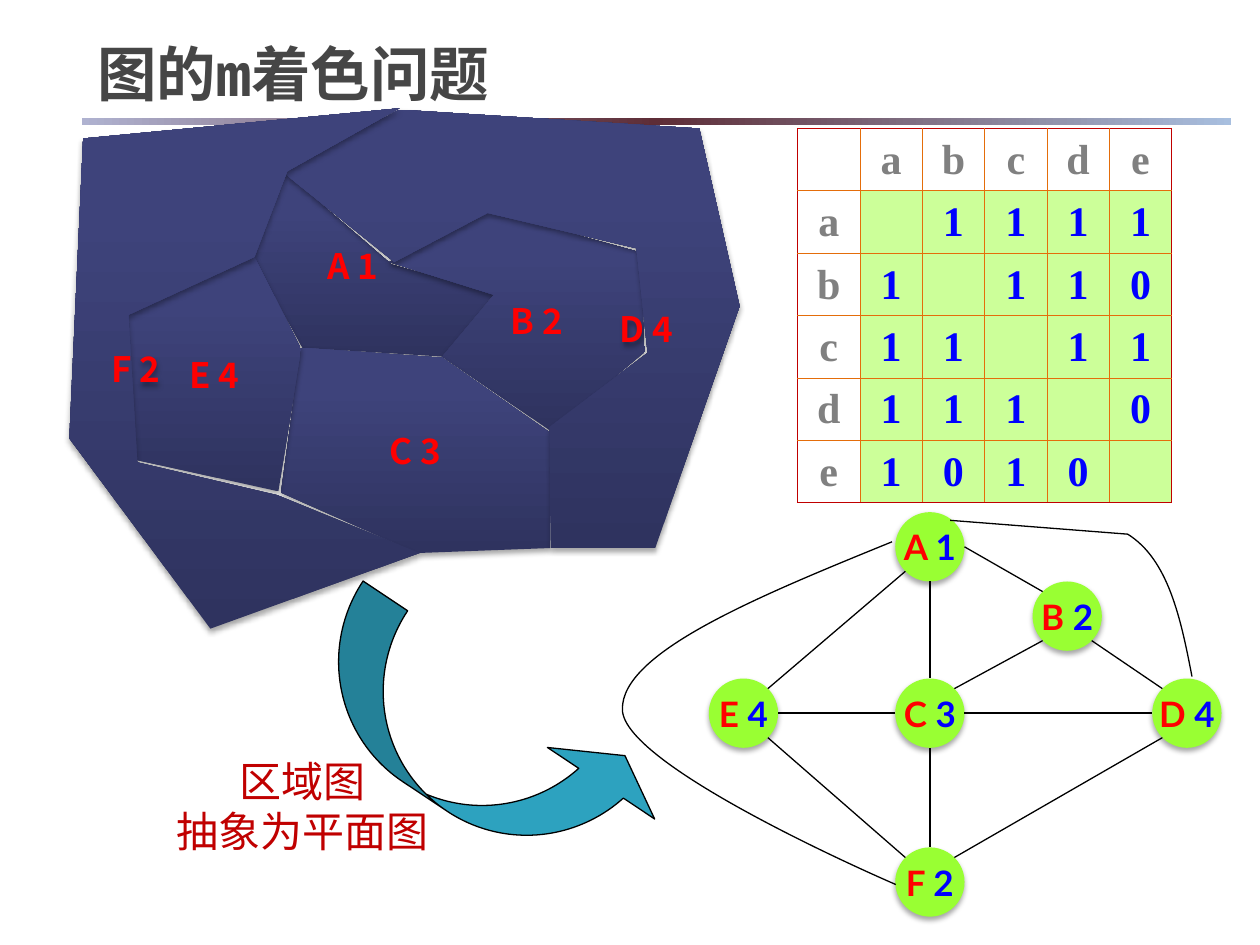
from math import cos, radians, sin

from pptx import Presentation
from pptx.dml.color import RGBColor
from pptx.enum.shapes import MSO_CONNECTOR as Connector, MSO_SHAPE as Shape
from pptx.enum.text import MSO_ANCHOR as Anchor, PP_ALIGN as Align
from pptx.oxml.ns import qn
from pptx.oxml.xmlchemy import OxmlElement
from pptx.util import Inches, Pt

MONO, CJK, LATO, SERIF = "Noto Sans Mono", "Noto Sans CJK SC", "Lato", "Times New Roman"
RED, BLUE, BLACK, DARK_RED, ORANGE = "FF0000", "0000FF", "000000", "C00000", "E46D0A"
REGION_STOPS = [(0, "2F335F"), (80, "3E437B"), (100, "3D427D")]
NODE_SIZE = 0.55

# name, colour number, centre of the label, outline
REGIONS = [
    ("A", 1, 2.80, [(2.27, 1.38), (2.01, 2.04), (2.4, 2.76), (3.51, 2.83),
                    (3.92, 2.33), (3.11, 2.1)]),
    ("B", 2, 4.26, [(3.09, 2.08), (3.87, 1.67), (5.07, 2), (5.12, 2.79),
                    (4.37, 3.42), (3.51, 2.83), (3.92, 2.34)]),
    ("C", 3, 3.30, [(4.36, 3.43), (4.37, 4.35), (3.31, 4.39), (2.23, 3.91),
                    (2.39, 2.76), (3.51, 2.84)]),
    ("D", 4, 5.13, [(2.25, 1.37), (3.17, 0.87), (5.55, 1.02), (5.87, 2.43),
                    (5.2, 4.35), (4.37, 4.35), (4.36, 3.39), (5.14, 2.8),
                    (5.05, 1.97), (3.87, 1.69), (3.13, 2.08)]),
    ("E", 4, 1.70, [(2.02, 2.04), (1.01, 2.49), (1.08, 3.65), (2.21, 3.9),
                    (2.39, 2.77)]),
    ("F", 2, 1.08, [(3.17, 0.86), (0.66, 1.1), (0.55, 3.48), (1.67, 4.99),
                    (3.33, 4.39), (2.2, 3.93), (1.09, 3.67), (1.02, 2.5),
                    (2.02, 2.04), (2.28, 1.36)]),
]
# name: centre of the node
NODES = {"A": (7.38, 4.34), "C": (7.38, 5.66), "F": (7.38, 7.0),
         "B": (8.47, 4.89), "D": (9.42, 5.66), "E": (5.9, 5.66)}
# node, angle where the edge leaves it (clockwise from the right), node, angle
EDGES = [("A", 90, "C", 270), ("C", 90, "F", 270), ("C", 180, "E", 0),
         ("C", 0, "D", 180), ("C", 315, "B", 135), ("E", 315, "A", 135),
         ("A", 0, "B", 225), ("B", 45, "D", 225), ("F", 315, "D", 135),
         ("E", 45, "F", 225)]
ADJACENCY = {"a": " 1111", "b": "1 110", "c": "11 11", "d": "111 0", "e": "1010 "}


def rgb(color):
    return RGBColor.from_string(color)


def add_child(parent, tag, **attributes):
    child = OxmlElement(tag)
    for name, value in attributes.items():
        child.set(name, str(value))
    parent.append(child)
    return child


def format_run(run, size, font, color, bold=True):
    run.font.size, run.font.name, run.font.bold = Pt(size), font, bold
    run.font.color.rgb = rgb(color)
    add_child(run.font._element, "a:ea", typeface=CJK)


def fill_gradient(shape, stops, angle):
    shape.fill.gradient()
    gradient = shape._element.spPr.find(qn("a:gradFill"))
    for child in list(gradient):
        gradient.remove(child)
    stop_list = add_child(gradient, "a:gsLst")
    for position, color in stops:
        stop = add_child(stop_list, "a:gs", pos=position * 1000)
        add_child(stop, "a:srgbClr", val=color)
    add_child(gradient, "a:lin", ang=angle * 60000, scaled=0)


def add_shadow(shape):
    effects = shape._element.spPr.find(qn("a:effectLst"))
    shadow = add_child(effects, "a:outerShdw", blurRad=Pt(3.1), dist=Pt(1.8),
                       dir=90 * 60000, algn="ctr", rotWithShape=0)
    color = add_child(shadow, "a:srgbClr", val=BLACK)
    add_child(color, "a:alpha", val=35000)


def style_line(line, color=BLACK, width=0.75):
    line.color.rgb, line.width = rgb(color), Pt(width)


def add_preset(slide, kind, left, top, width, height):
    shape = slide.shapes.add_shape(kind, Inches(left), Inches(top), Inches(width), Inches(height))
    shape.shadow.inherit = False
    shape.line.fill.background()
    return shape


def add_freeform(slide, points, close):
    start, *others = [(Inches(x), Inches(y)) for x, y in points]
    builder = slide.shapes.build_freeform(*start)
    builder.add_line_segments(others, close=close)
    shape = builder.convert_to_shape()
    shape.shadow.inherit = False
    return shape


def add_label(shape, parts, font):
    """Write one centred line from (text, colour) parts."""
    frame = shape.text_frame
    frame.word_wrap, frame.vertical_anchor = False, Anchor.MIDDLE
    para = frame.paragraphs[0]
    para.alignment = Align.CENTER
    for text, color in parts:
        run = para.add_run()
        run.text = text
        format_run(run, 20, font, color)


def add_region(slide, name, number, label_center, outline):
    region = add_freeform(slide, outline, close=True)
    fill_gradient(region, REGION_STOPS, 270)
    region.line.fill.background()
    add_shadow(region)
    add_label(region, [(f"{name} {number}", RED)], CJK)
    shift = Inches(label_center) - (region.left + region.width // 2)
    region.text_frame.margin_left = max(0, 2 * shift)
    region.text_frame.margin_right = max(0, -2 * shift)


def add_node(slide, name, number):
    x, y = NODES[name]
    node = add_preset(slide, Shape.OVAL, x - NODE_SIZE / 2, y - NODE_SIZE / 2,
                      NODE_SIZE, NODE_SIZE)
    node.fill.solid()
    node.fill.fore_color.rgb = rgb("99FF33")
    add_shadow(node)
    add_label(node, [(f"{name} ", RED), (str(number), BLUE)], LATO)


def rim_point(name, angle):
    x, y = NODES[name]
    radius = NODE_SIZE / 2
    return (Inches(x + radius * cos(radians(angle))),
            Inches(y + radius * sin(radians(angle))))


def add_edge(slide, start, start_angle, end, end_angle):
    edge = slide.shapes.add_connector(Connector.STRAIGHT, *rim_point(start, start_angle),
                                      *rim_point(end, end_angle))
    style_line(edge.line)
    add_child(edge._element.spPr, "a:effectLst")


def add_curved_edge(slide, points, straight=0):
    """Draw straight segments first, then one cubic curve for every three points."""
    edge = add_freeform(slide, points, close=False)
    edge.fill.background()
    style_line(edge.line)
    segments = list(edge._element.iter(qn("a:lnTo")))[straight:]
    for first in range(0, len(segments), 3):
        curve = OxmlElement("a:cubicBezTo")
        segments[first].addprevious(curve)
        for segment in segments[first:first + 3]:
            curve.append(segment[0])
            segment.getparent().remove(segment)


def set_borders(cell, row, column, last):
    properties = cell._tc.get_or_add_tcPr()
    sides = [("a:lnL", column == 0), ("a:lnR", column == last),
             ("a:lnT", row == 0), ("a:lnB", row == last)]
    for position, (tag, outer) in enumerate(sides):
        border = OxmlElement(tag)
        border.set("w", str(Pt(1 if outer else 0.5)))
        fill = add_child(border, "a:solidFill")
        add_child(fill, "a:srgbClr", val=DARK_RED if outer else ORANGE)
        properties.insert(position, border)


def add_matrix(slide):
    rows = [[""] + list(ADJACENCY)]
    rows += [[name, *values] for name, values in ADJACENCY.items()]
    count = len(rows)
    side = Inches(2.97)
    table = slide.shapes.add_table(count, count, Inches(6.33), Inches(1.02), side, side).table
    table.first_row = table.horz_banding = False
    for i, values in enumerate(rows):
        for j, value in enumerate(values):
            cell = table.cell(i, j)
            cell.margin_left = cell.margin_right = cell.margin_top = Inches(0.01)
            cell.margin_bottom = 0
            cell.vertical_anchor = Anchor.MIDDLE
            inner = i > 0 and j > 0
            if inner:
                cell.fill.solid()
                cell.fill.fore_color.rgb = rgb("CCFF99")
            else:
                cell.fill.background()
            set_borders(cell, i, j, count - 1)
            para = cell.text_frame.paragraphs[0]
            para.text, para.alignment = value.strip(), Align.CENTER
            for run in para.runs:
                format_run(run, 24, SERIF, BLUE if inner else "808080")


def set_title(slide):
    title = slide.shapes.title
    title.left, title.top, title.width, title.height = map(Inches, (0.67, 0.16, 9.08, 0.75))
    title.text_frame.text = "图的m着色问题"
    title.text_frame.vertical_anchor = Anchor.BOTTOM
    para = title.text_frame.paragraphs[0]
    para.alignment = Align.LEFT
    format_run(para.runs[0], 34, MONO, "464646")


def add_arrow_and_caption(slide):
    arrow = add_preset(slide, Shape.CURVED_UP_ARROW, 2.31, 5.35, 3.01, 1.15)
    arrow.rotation = 33.7
    for index, value in enumerate((0.37, 0.89, 0.25)):
        arrow.adjustments[index] = value
    arrow.fill.solid()
    arrow.fill.fore_color.rgb = rgb("2DA2BF")
    style_line(arrow.line)
    box = slide.shapes.add_textbox(Inches(1.29), Inches(5.94), Inches(2.22), Inches(0.91))
    box.text_frame.text = "区域图\n抽象为平面图"
    for para in box.text_frame.paragraphs:
        para.alignment, para.line_spacing = Align.CENTER, Pt(29)
        format_run(para.runs[0], 24, MONO, DARK_RED, bold=False)


def main():
    deck = Presentation()
    deck.slide_width, deck.slide_height = Inches(10), Inches(7.5)
    slide = deck.slides.add_slide(deck.slide_layouts[5])
    rule = add_preset(slide, Shape.RECTANGLE, 0.65, 0.94, 9.12, 0.05)
    fill_gradient(rule, [(0, "AFB2D0"), (50, "5E2D37"), (100, "A8BFDF")], 0)
    set_title(slide)
    add_matrix(slide)
    for region in REGIONS:
        add_region(slide, *region)
    numbers = {name: number for name, number, *_ in REGIONS}
    for name in NODES:
        add_node(slide, name, numbers[name])
    for edge in EDGES:
        add_edge(slide, *edge)
    add_curved_edge(slide, [(7.08, 4.3), (6, 4.74), (4.93, 5.18), (4.94, 5.63),
                            (4.94, 6.09), (7.11, 7.02), (7.11, 7.02)])
    add_curved_edge(slide, [(7.54, 4.13), (8.95, 4.24), (9.27, 4.44), (9.37, 4.9),
                            (9.46, 5.37)], straight=1)
    add_arrow_and_caption(slide)
    deck.save("out.pptx")


if __name__ == "__main__":
    main()
